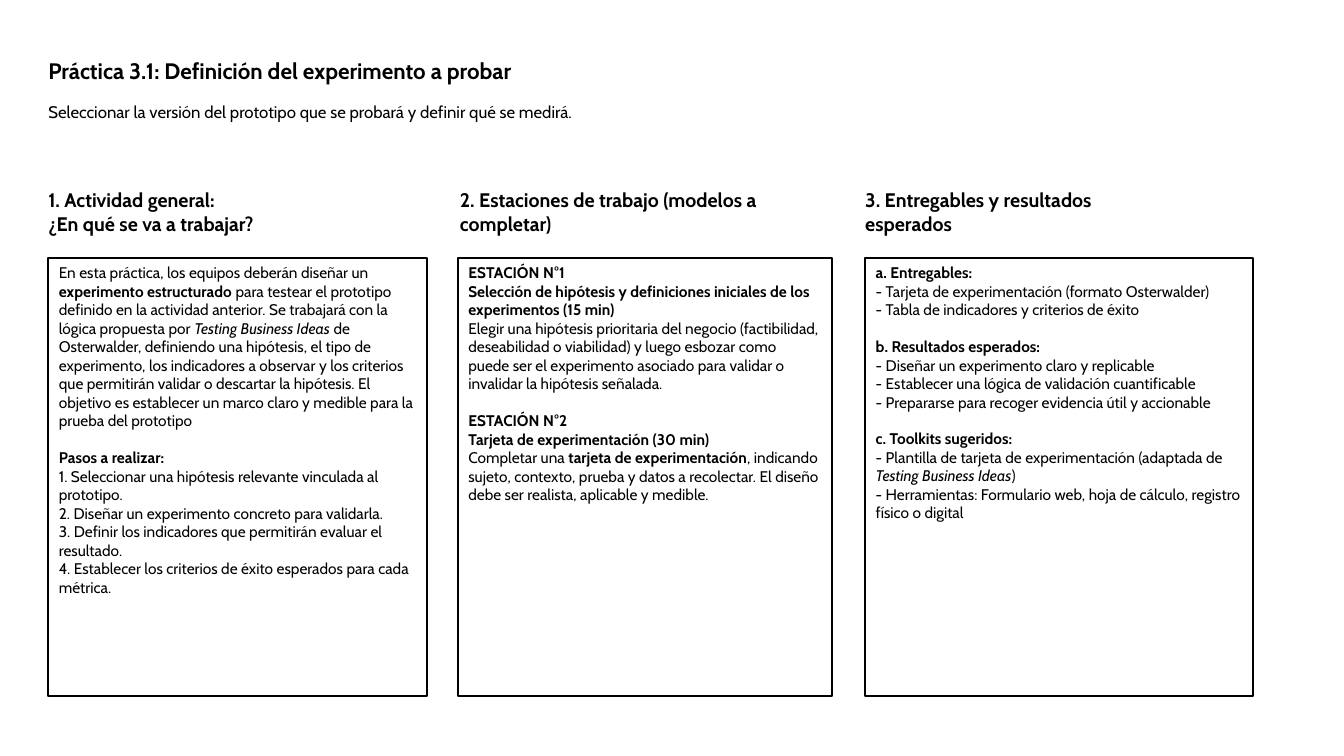
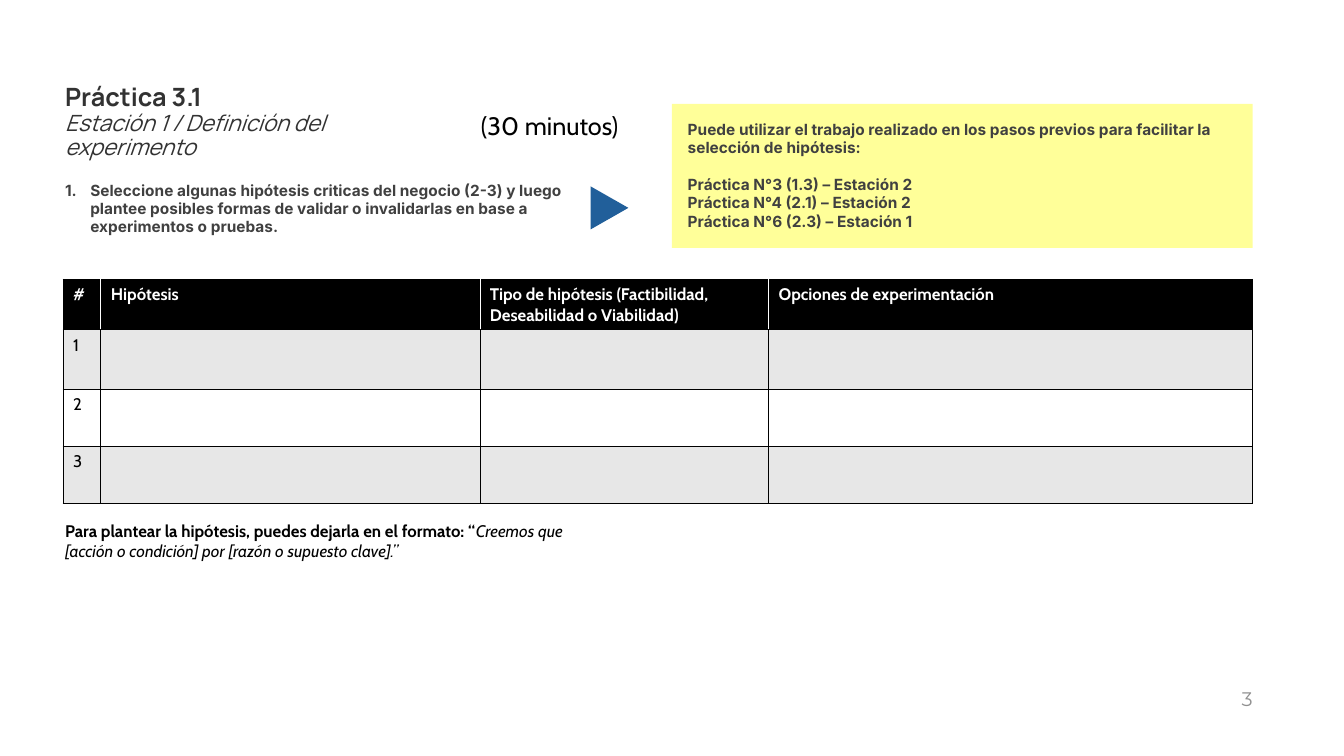
from dataclasses import dataclass, replace
from typing import NamedTuple

from lxml.etree import SubElement
from pptx import Presentation
from pptx.dml.color import RGBColor
from pptx.enum.shapes import MSO_SHAPE as Shape
from pptx.enum.text import MSO_ANCHOR as Anchor, PP_ALIGN as Align
from pptx.oxml.ns import qn
from pptx.util import Emu, Pt

PX = 9525  # EMU in one px, 96 px to the inch


def px(n: int) -> Emu:
    return Emu(n * PX)


@dataclass(frozen=True)
class Style:
    size: int
    font: str = "Cabin"
    color: str = "000000"
    bold: bool = False
    italic: bool = False


@dataclass(frozen=True)
class Theme:
    black: str = "000000"
    white: str = "FFFFFF"
    band: str = "E7E7E7"
    note: str = "FFFF99"
    arrow: str = "215F9A"
    title: Style = Style(16, bold=True)
    lead: Style = Style(12)
    heading: Style = Style(14, bold=True)
    body: Style = Style(11)
    station: Style = Style(18, "Manrope", "323232", bold=True)
    station_sub: Style = Style(16, "Manrope", "323232", italic=True)
    hint: Style = Style(11, "Inter", "404040", bold=True)
    timing: Style = Style(18)
    cell: Style = Style(12)
    header: Style = Style(12, color="FFFFFF", bold=True)
    page: Style = Style(14, "Montserrat", "909090")


T = Theme()
GAP = 13  # points, one line of body text


class Box(NamedTuple):
    x: int
    y: int
    w: int
    h: int

    def emu(self) -> tuple[Emu, ...]:
        return tuple(px(n) for n in self)


class Para(NamedTuple):
    text: str
    style: Style = T.body
    before: int = 0


class Column(NamedTuple):
    heading: list[str]
    heading_x: int
    heading_w: int
    x: int
    w: int
    paras: list[Para]


def rgb(color: str) -> RGBColor:
    return RGBColor.from_string(color)


def add_run(p, text: str, style: Style) -> None:
    r = p.add_run()
    r.text = text
    f = r.font
    f.size, f.name = Pt(style.size), style.font
    f.bold, f.italic = style.bold, style.italic
    f.color.rgb = rgb(style.color)


def write(tf, paras: list[Para], inset: tuple[int, int] = (10, 5)) -> None:
    """Fill a frame; **...** marks bold and *...* marks italic."""
    tf.word_wrap = True
    tf.vertical_anchor = Anchor.TOP
    tf.margin_left = tf.margin_right = px(inset[0])
    tf.margin_top = tf.margin_bottom = px(inset[1])
    for i, para in enumerate(paras):
        p = tf.add_paragraph() if i else tf.paragraphs[0]
        p.alignment = Align.LEFT
        if para.before:
            p.space_before = Pt(para.before)
        for j, part in enumerate(para.text.split("**")):
            for k, text in enumerate(part.split("*")):
                if text:
                    style = replace(para.style, bold=para.style.bold or j % 2 == 1,
                                    italic=para.style.italic or k % 2 == 1)
                    add_run(p, text, style)


def add_text(slide, box: Box, paras: list[Para], inset: tuple[int, int] = (10, 5)):
    tf = slide.shapes.add_textbox(*box.emu()).text_frame
    write(tf, paras, inset)
    return tf


def add_shape(slide, kind: Shape, box: Box, fill: str, line: str | None = None):
    sp = slide.shapes.add_shape(kind, *box.emu())
    sp.shadow.inherit = False
    sp.fill.solid()
    sp.fill.fore_color.rgb = rgb(fill)
    if line:
        sp.line.color.rgb = rgb(line)
        sp.line.width = Pt(1.5)
    else:
        sp.line.fill.background()
    return sp


def number(p, indent: int) -> None:
    """Make a paragraph a numbered item with a hanging indent."""
    pPr = p._p.get_or_add_pPr()
    pPr.set("marL", str(px(indent)))
    pPr.set("indent", str(-px(indent)))
    SubElement(pPr, qn("a:buFont"), typeface="+mj-lt")
    SubElement(pPr, qn("a:buAutoNum"), type="arabicPeriod")


def set_borders(cell, left: str, right: str) -> None:
    tcPr = cell._tc.get_or_add_tcPr()
    for side, color in zip("LRTB", (left, right, T.black, T.black)):
        ln = SubElement(tcPr, qn(f"a:ln{side}"), w=str(Pt(0.5)))
        SubElement(SubElement(ln, qn("a:solidFill")), qn("a:srgbClr"), val=color)


def add_grid(slide, x: int, y: int, widths: list[int], heights: list[int],
             rows: list[list[str]]) -> None:
    box = Box(x, y, sum(widths), sum(heights))
    table = slide.shapes.add_table(len(rows), len(widths), *box.emu()).table
    table.first_row = table.horz_banding = False
    for col, w in zip(table.columns, widths):
        col.width = px(w)
    last = len(widths) - 1
    for i, (row, h, texts) in enumerate(zip(table.rows, heights, rows)):
        row.height = px(h)
        head = i == 0
        fill = T.black if head else T.band if i % 2 else T.white
        inner = T.white if head else T.black
        for j, text in enumerate(texts):
            cell = table.cell(i, j)
            set_borders(cell, inner if j else T.black, inner if j < last else T.black)
            cell.fill.solid()
            cell.fill.fore_color.rgb = rgb(fill)
            write(cell.text_frame, [Para(text, T.header if head else T.cell)])


COLUMNS = [
    Column(["1. Actividad general:", "¿En qué se va a trabajar?"], 46, 348, 46, 361, [
        Para("En esta práctica, los equipos deberán diseñar un **experimento estructurado** "
             "para testear el prototipo definido en la actividad anterior. Se trabajará con la "
             "lógica propuesta por *Testing Business Ideas* de Osterwalder, definiendo una "
             "hipótesis, el tipo de experimento, los indicadores a observar y los criterios "
             "que permitirán validar o descartar la hipótesis. El objetivo es establecer un "
             "marco claro y medible para la prueba del prototipo"),
        Para("**Pasos a realizar:**", before=GAP),
        Para("1. Seleccionar una hipótesis relevante vinculada al prototipo."),
        Para("2. Diseñar un experimento concreto para validarla."),
        Para("3. Definir los indicadores que permitirán evaluar el resultado."),
        Para("4. Establecer los criterios de éxito esperados para cada métrica."),
    ]),
    Column(["2. Estaciones de trabajo (modelos a completar)"], 438, 283, 436, 356, [
        Para("**ESTACIÓN N°1**"),
        Para("**Selección de hipótesis y definiciones iniciales de los experimentos (15 min)**"),
        Para("Elegir una hipótesis prioritaria del negocio (factibilidad, deseabilidad o "
             "viabilidad) y luego esbozar como puede ser el experimento asociado para validar "
             "o invalidar la hipótesis señalada."),
        Para("**ESTACIÓN N°2**", before=GAP),
        Para("**Tarjeta de experimentación (30 min)**"),
        Para("Completar una **tarjeta de experimentación**, indicando sujeto, contexto, prueba "
             "y datos a recolectar. El diseño debe ser realista, aplicable y medible."),
    ]),
    Column(["3. Entregables y resultados esperados"], 824, 228, 824, 369, [
        Para("**a. Entregables:**"),
        Para("- Tarjeta de experimentación (formato Osterwalder)"),
        Para("- Tabla de indicadores y criterios de éxito"),
        Para("**b. Resultados esperados:**", before=GAP),
        Para("- Diseñar un experimento claro y replicable"),
        Para("- Establecer una lógica de validación cuantificable"),
        Para("- Prepararse para recoger evidencia útil y accionable"),
        Para("**c. Toolkits sugeridos:**", before=GAP),
        Para("- Plantilla de tarjeta de experimentación (adaptada de *Testing Business Ideas*)"),
        Para("- Herramientas: Formulario web, hoja de cálculo, registro físico o digital"),
    ]),
]

HYPOTHESES = [
    ["#", "Hipótesis", "Tipo de hipótesis (Factibilidad, Deseabilidad o Viabilidad)",
     "Opciones de experimentación"],
    *([str(n), "", "", ""] for n in range(1, 4)),
]


def build_overview(slide) -> None:
    add_text(slide, Box(36, 49, 577, 74), [
        Para("Práctica 3.1: Definición del experimento a probar", T.title),
        Para("Seleccionar la versión del prototipo que se probará y definir qué se medirá.",
             T.lead, GAP),
    ])
    for col in COLUMNS:
        add_text(slide, Box(col.heading_x, 174, col.heading_w, 55),
                 [Para(text, T.heading) for text in col.heading], inset=(0, 5))
        sp = add_shape(slide, Shape.RECTANGLE, Box(col.x, 246, col.w, 417), T.white, T.black)
        write(sp.text_frame, col.paras)


def build_station(slide) -> None:
    tf = add_text(slide, Box(52, 76, 394, 64), [
        Para("Práctica 3.1", T.station),
        Para("Estación 1 / Definición del experimento", T.station_sub),
    ])
    for p in tf.paragraphs:
        p.line_spacing = 0.9

    tf = add_text(slide, Box(52, 167, 529, 63), [
        Para("Seleccione algunas hipótesis criticas del negocio (2-3) y luego plantee posibles "
             "formas de validar o invalidarlas en base a experimentos o pruebas.", T.hint)])
    number(tf.paragraphs[0], 24)
    add_text(slide, Box(448, 100, 163, 38), [Para("(30 minutos)", T.timing)])

    sp = add_shape(slide, Shape.ISOSCELES_TRIANGLE, Box(560, 180, 41, 36), T.arrow)
    sp.rotation = 90
    sp = add_shape(slide, Shape.RECTANGLE, Box(640, 99, 553, 137), T.note)
    write(sp.text_frame, [
        Para("Puede utilizar el trabajo realizado en los pasos previos para facilitar la "
             "selección de hipótesis:", T.hint),
        Para("Práctica N°3 (1.3) – Estación 2", T.hint, GAP),
        Para("Práctica N°4 (2.1) – Estación 2", T.hint),
        Para("Práctica N°6 (2.3) – Estación 1", T.hint),
    ], inset=(15, 15))

    add_grid(slide, 60, 266, [36, 361, 275, 461], [48, 57, 54, 54], HYPOTHESES)
    add_text(slide, Box(52, 491, 496, 48), [
        Para("**Para plantear la hipótesis, puedes dejarla en el formato: “***Creemos que "
             "[acción o condición] por [razón o supuesto clave].”*", T.lead)])

    tf = add_text(slide, Box(915, 646, 288, 38), [Para("3", T.page)])
    tf.vertical_anchor = Anchor.MIDDLE
    tf.paragraphs[0].alignment = Align.RIGHT


def main() -> None:
    prs = Presentation()
    prs.slide_width, prs.slide_height = px(1280), px(720)
    for build in (build_overview, build_station):
        build(prs.slides.add_slide(prs.slide_layouts[6]))
    prs.save("out.pptx")


if __name__ == "__main__":
    main()
